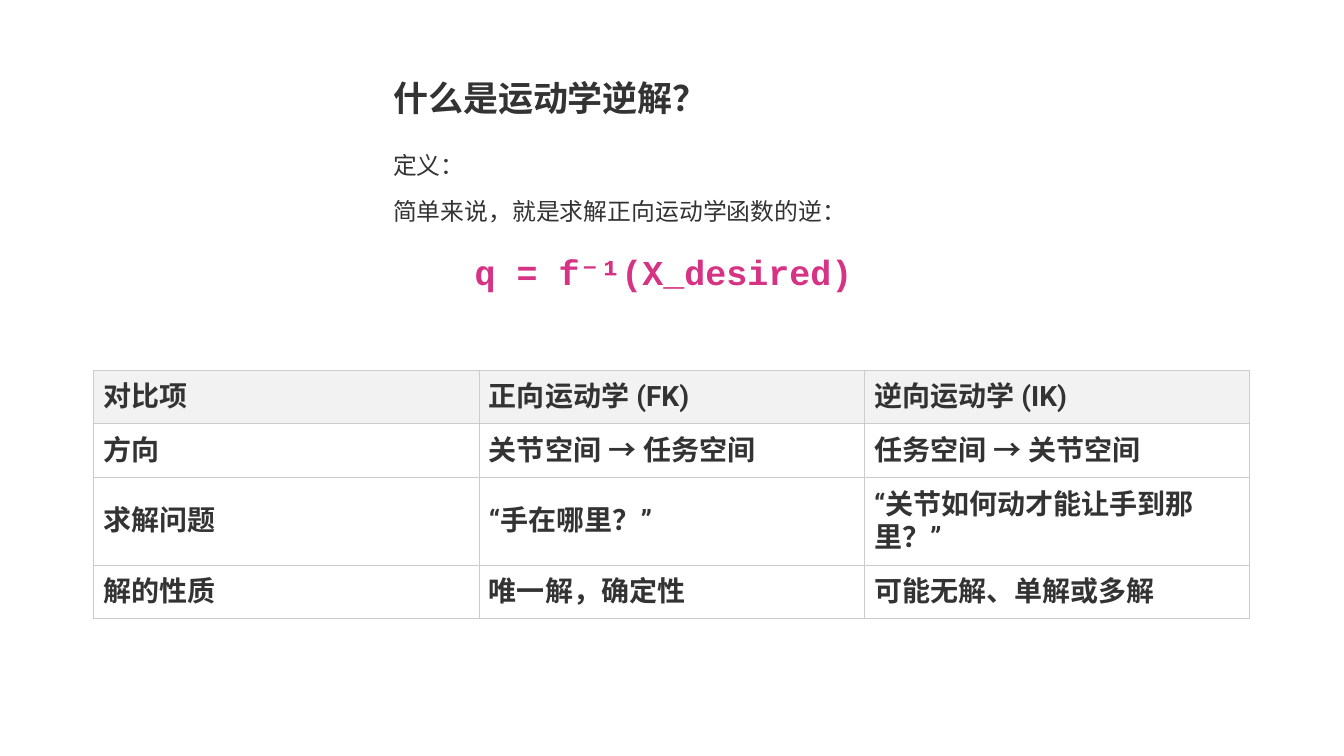
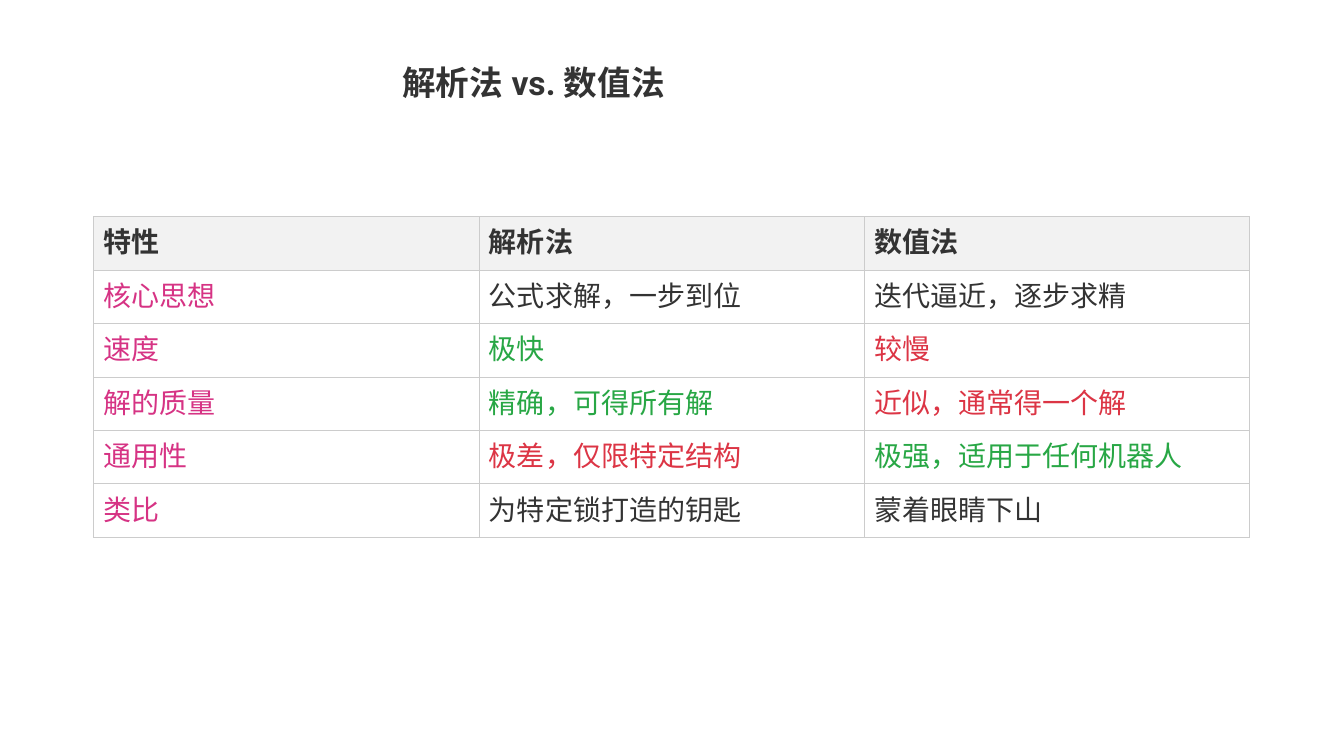
from dataclasses import dataclass

from lxml import etree
from pptx import Presentation
from pptx.dml.color import RGBColor
from pptx.enum.text import MSO_ANCHOR, MSO_AUTO_SIZE, PP_ALIGN
from pptx.oxml.ns import qn
from pptx.slide import Slide
from pptx.table import _Cell
from pptx.text.text import _Paragraph
from pptx.util import Inches, Pt

INK = RGBColor(0x33, 0x33, 0x33)
ACCENT = RGBColor(0xD6, 0x33, 0x84)
GOOD = RGBColor(0x28, 0xA7, 0x45)
BAD = RGBColor(0xDC, 0x35, 0x45)
HEADER_FILL = RGBColor(0xF2, 0xF2, 0xF2)
BORDER = RGBColor(0xCC, 0xCC, 0xCC)

TEXT_FONT = "Roboto"
FORMULA_FONT = "Courier New"

TOP, MIDDLE = MSO_ANCHOR.TOP, MSO_ANCHOR.MIDDLE
LEFT, CENTER = PP_ALIGN.LEFT, PP_ALIGN.CENTER
NO_AUTOFIT = MSO_AUTO_SIZE.NONE

TITLE_ONLY = 5
TEXT_WIDTH = 5.56
TABLE_LEFT = 0.93
COLUMN_WIDTH = 3.82
ROW_HEIGHT = 0.53
CELL_MARGIN = Inches(0.1)


@dataclass(frozen=True)
class Entry:
    text: str
    color: RGBColor = INK


@dataclass(frozen=True)
class Line:
    text: str
    size: float
    color: RGBColor = INK
    font: str = TEXT_FONT
    bold: bool = False
    align: PP_ALIGN = LEFT
    before: float = 0
    after: float = 0


@dataclass(frozen=True)
class Comparison:
    top: float
    rows: list[list[Entry]]
    bold_body: bool


DEFINITION = [
    Line("定义：", 17),
    Line("简单来说，就是求解正向运动学函数的逆：", 17, before=12),
    Line("q = f⁻¹(X_desired)", 25, ACCENT, FORMULA_FONT, True, CENTER, 18, 18),
]

KINEMATICS = Comparison(
    3.67,
    [
        [Entry("对比项"), Entry("正向运动学 (FK)"), Entry("逆向运动学 (IK)")],
        [Entry("方向"), Entry("关节空间 → 任务空间"), Entry("任务空间 → 关节空间")],
        [Entry("求解问题"), Entry("“手在哪里？”"), Entry("“关节如何动才能让手到那里？”")],
        [Entry("解的性质"), Entry("唯一解，确定性"), Entry("可能无解、单解或多解")],
    ],
    bold_body=True,
)

METHODS = Comparison(
    2.15,
    [
        [Entry("特性"), Entry("解析法"), Entry("数值法")],
        [Entry("核心思想", ACCENT), Entry("公式求解，一步到位"), Entry("迭代逼近，逐步求精")],
        [Entry("速度", ACCENT), Entry("极快", GOOD), Entry("较慢", BAD)],
        [Entry("解的质量", ACCENT), Entry("精确，可得所有解", GOOD), Entry("近似，通常得一个解", BAD)],
        [Entry("通用性", ACCENT), Entry("极差，仅限特定结构", BAD), Entry("极强，适用于任何机器人", GOOD)],
        [Entry("类比", ACCENT), Entry("为特定锁打造的钥匙"), Entry("蒙着眼睛下山")],
    ],
    bold_body=False,
)


def write_line(paragraph: _Paragraph, line: Line) -> None:
    paragraph.text = line.text
    paragraph.alignment = line.align
    paragraph.space_before = Pt(line.before)
    paragraph.space_after = Pt(line.after)
    for run in paragraph.runs:
        run.font.size = Pt(line.size)
        run.font.bold = line.bold
        run.font.color.rgb = line.color
        run.font.name = line.font
        east_asian = etree.SubElement(run.font._element, qn("a:ea"))
        east_asian.set("typeface", line.font)


def add_titled_slide(deck: Presentation, text: str, left: float, top: float, size: float) -> Slide:
    slide = deck.slides.add_slide(deck.slide_layouts[TITLE_ONLY])
    title = slide.shapes.title
    title.left, title.top = Inches(left), Inches(top)
    title.width, title.height = Inches(TEXT_WIDTH), Inches(0.5)
    frame = title.text_frame
    frame.auto_size = NO_AUTOFIT
    frame.vertical_anchor = TOP
    write_line(frame.paragraphs[0], Line(text, size, bold=True))
    return slide


def add_definition(slide: Slide, lines: list[Line]) -> None:
    definition = slide.shapes.add_textbox(
        Inches(3.8), Inches(1.45), Inches(TEXT_WIDTH), Inches(1.53)
    )
    frame = definition.text_frame
    frame.word_wrap = True
    for index, line in enumerate(lines):
        write_line(frame.add_paragraph() if index else frame.paragraphs[0], line)


def outline_cell(cell: _Cell) -> None:
    properties = cell._tc.get_or_add_tcPr()
    for side in ("lnL", "lnR", "lnT", "lnB"):
        edge = etree.SubElement(properties, qn(f"a:{side}"), w=str(Pt(0.6)))
        fill = etree.SubElement(edge, qn("a:solidFill"))
        etree.SubElement(fill, qn("a:srgbClr"), val=str(BORDER))


def add_comparison(slide: Slide, comparison: Comparison) -> None:
    rows = comparison.rows
    columns = len(rows[0])
    table = slide.shapes.add_table(
        len(rows), columns,
        Inches(TABLE_LEFT), Inches(comparison.top),
        Inches(COLUMN_WIDTH * columns), Inches(ROW_HEIGHT * len(rows)),
    ).table
    table.horz_banding = False
    for row_index, entries in enumerate(rows):
        is_header = row_index == 0
        for column_index, entry in enumerate(entries):
            cell = table.cell(row_index, column_index)
            cell.vertical_anchor = MIDDLE
            cell.margin_left = cell.margin_right = CELL_MARGIN
            cell.margin_top = cell.margin_bottom = CELL_MARGIN
            outline_cell(cell)
            if is_header:
                cell.fill.solid()
                cell.fill.fore_color.rgb = HEADER_FILL
            else:
                cell.fill.background()
            bold = is_header or comparison.bold_body
            write_line(
                cell.text_frame.paragraphs[0],
                Line(entry.text, 20, entry.color, bold=bold),
            )


def main() -> None:
    deck = Presentation()
    deck.slide_width, deck.slide_height = Inches(13.33), Inches(7.5)

    inverse_kinematics = add_titled_slide(deck, "什么是运动学逆解？", 3.8, 0.71, 25)
    add_definition(inverse_kinematics, DEFINITION)
    add_comparison(inverse_kinematics, KINEMATICS)

    solution_methods = add_titled_slide(deck, "解析法 vs. 数值法", 3.89, 0.56, 24)
    add_comparison(solution_methods, METHODS)

    deck.save("out.pptx")


if __name__ == "__main__":
    main()
